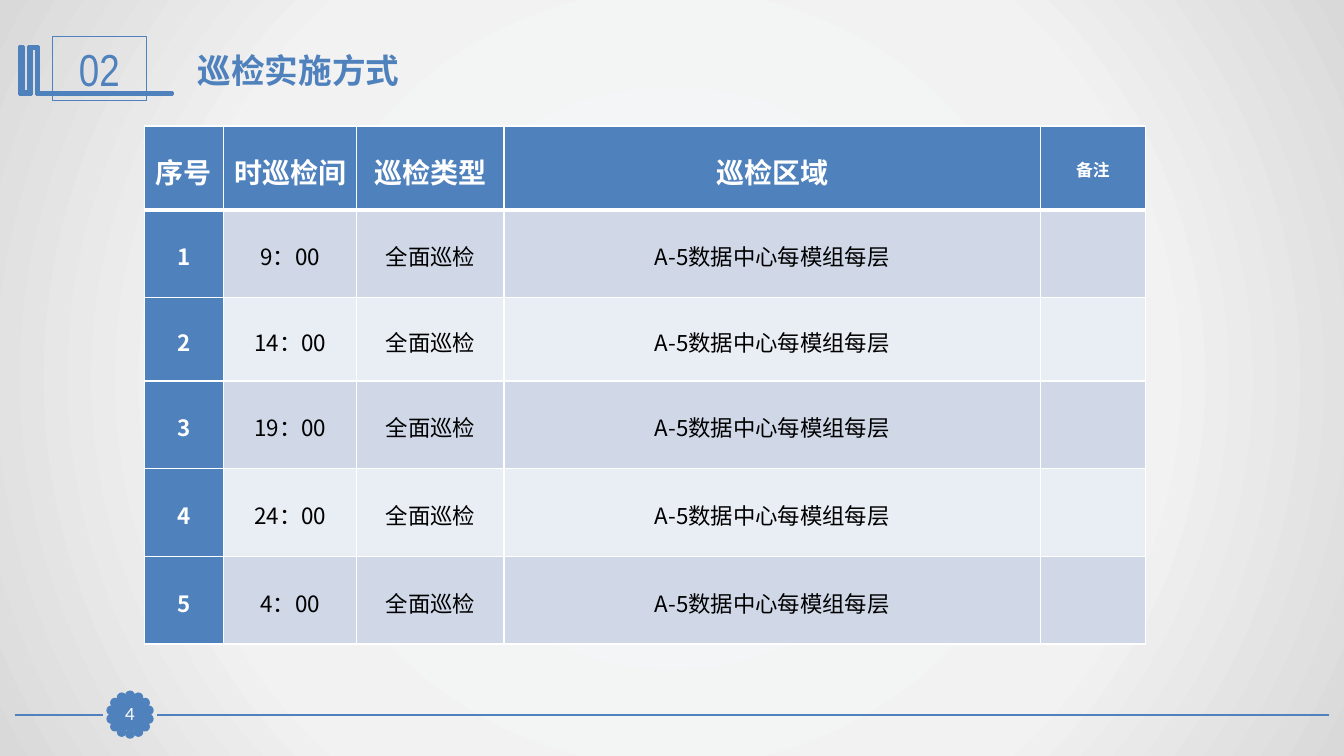
import math

import pptx
import pptx.dml.color
import pptx.enum.shapes
import pptx.enum.text
import pptx.oxml
import pptx.oxml.ns
import pptx.util
from pptx.util import Inches

BLUE = "4F81BD"
WHITE = "FFFFFF"
BANDS = ["D0D8E8", "E9EDF4"]
SHAPE = pptx.enum.shapes.MSO_SHAPE
MIDDLE = pptx.enum.text.MSO_ANCHOR.MIDDLE
CENTER = pptx.enum.text.PP_ALIGN.CENTER
NS = pptx.oxml.ns.nsdecls("a")


def color(code):
    return pptx.dml.color.RGBColor.from_string(code)


def paint(shape, fill, width):
    """Give a shape a plain fill, or none, and a blue outline."""
    shape.shadow.inherit = False
    if fill:
        shape.fill.solid()
        shape.fill.fore_color.rgb = color(fill)
    else:
        shape.fill.background()
    shape.line.color.rgb = color(BLUE)
    shape.line.width = pptx.util.Pt(width)


def write(frame, text, size, face, ink, bold=False, align=CENTER):
    frame.text = text
    par = frame.paragraphs[0]
    par.alignment = align
    par.font.size = pptx.util.Pt(size)
    par.font.name = face
    par.font.bold = bold
    par.font.color.rgb = color(ink)
    return par


def add_back(slide):
    """Radial gradient, light in the middle."""
    slide.background.fill.gradient()
    grad = next(slide.element.iter(pptx.oxml.ns.qn("a:gradFill")))
    for child in list(grad):
        grad.remove(child)
    stops = [(0, "F6F9FC"), (63, "F2F2F2"), (100, "D9D9D9")]
    marks = "".join(
        f'<a:gs pos="{pos * 1000}"><a:srgbClr val="{code}"/></a:gs>'
        for pos, code in stops)
    grad.append(pptx.oxml.parse_xml(f"<a:gsLst {NS}>{marks}</a:gsLst>"))
    grad.append(pptx.oxml.parse_xml(
        f'<a:path {NS} path="circle"><a:fillToRect l="50000" t="50000" '
        'r="50000" b="50000"/></a:path>'))


def add_head(slide, left, top):
    """Book mark, section number and title."""
    # Outline in hundredths of an inch
    points = [(18, 0), (19, 0), (19, 46), (152, 46), (152, 48), (17, 48),
              (17, 2), (12, 2), (12, 48), (0, 48), (0, 0), (4, 0),
              (4, 45), (9, 45), (9, 0)]
    pen = slide.shapes.build_freeform(*points[0], scale=Inches(0.01))
    pen.add_line_segments(points[1:], close=True)
    paint(pen.convert_to_shape(Inches(left), Inches(top + 0.1)), BLUE, 2)

    # Section number
    box = slide.shapes.add_shape(
        SHAPE.RECTANGLE, Inches(left + 0.33), Inches(top),
        Inches(0.93), Inches(0.64))
    paint(box, None, 0.75)
    box.text_frame.vertical_anchor = MIDDLE
    write(box.text_frame, "02", 32, "Arial Narrow", BLUE)

    # Title
    title = slide.shapes.title
    title.left, title.top = Inches(left + 1.67), Inches(top + 0.08)
    title.width, title.height = Inches(9.69), Inches(0.5)
    title.text_frame.vertical_anchor = MIDDLE
    write(title.text_frame, "巡检实施方式", 24, "Lato", BLUE, True,
          pptx.enum.text.PP_ALIGN.LEFT)


def edge(cell, sides):
    """White cell borders; sides maps each tag to its width in points."""
    props = cell._tc.get_or_add_tcPr()
    for spot, (tag, width) in enumerate(sides.items()):
        props.insert(spot, pptx.oxml.parse_xml(
            f'<a:{tag} {NS} w="{pptx.util.Pt(width)}"><a:solidFill>'
            f'<a:srgbClr val="{WHITE}"/></a:solidFill></a:{tag}>'))


def add_plan(slide, left, top):
    """Table of inspection rounds."""
    heads = ["序号", "时巡检间", "巡检类型", "巡检区域", "备注"]
    times = ["9：00", "14：00", "19：00", "24：00", "4：00"]
    rows = [heads] + [
        [str(num), time, "全面巡检", "A-5数据中心每模组每层", ""]
        for num, time in enumerate(times, 1)]
    widths = [0.79, 1.32, 1.46, 5.32, 1.04]
    heights = [0.83, 0.87, 0.83, 0.87, 0.87, 0.87]
    table = slide.shapes.add_table(
        len(rows), len(widths), Inches(left), Inches(top),
        Inches(sum(widths)), Inches(sum(heights))).table
    for col, width in zip(table.columns, widths):
        col.width = Inches(width)
    for row, height in zip(table.rows, heights):
        row.height = Inches(height)

    for r, row in enumerate(rows):
        for c, text in enumerate(row):
            cell = table.cell(r, c)
            strong = r == 0 or c == 0
            cell.fill.solid()
            cell.fill.fore_color.rgb = color(
                BLUE if strong else BANDS[(r - 1) % 2])
            edge(cell, {"lnL": 1, "lnR": 1, "lnT": 3 if r == 1 else 1,
                        "lnB": 3 if r == 0 else 1})
            cell.vertical_anchor = MIDDLE
            cell.margin_left = cell.margin_right = Inches(0.07)
            cell.margin_top = cell.margin_bottom = 0
            if text:
                size = 16 if r else 12 if text == "备注" else 20
                par = write(cell.text_frame, text, size, "Noto Sans CJK SC",
                            WHITE if strong else "000000", strong)
                par.line_spacing = 1.15


def add_foot(slide, mid, level):
    """Rule with a scalloped page badge centred at mid, level."""
    for start, end in [(0.15, 1.02), (1.56, 13.18)]:
        rule = slide.shapes.add_connector(
            pptx.enum.shapes.MSO_CONNECTOR.STRAIGHT,
            Inches(start), Inches(level), Inches(end), Inches(level))
        rule.line.color.rgb = color(BLUE)
        rule.line.width = pptx.util.Pt(1.25)
        rule._element.spPr.append(
            pptx.oxml.parse_xml(f"<a:effectLst {NS}/>"))

    # Ring of dots
    count, radius, size = 14, 0.19, 0.07
    for i in range(count):
        turn = 2 * math.pi * i / count
        dot = slide.shapes.add_shape(
            SHAPE.OVAL,
            Inches(mid + radius * math.sin(turn) - size / 2),
            Inches(level - radius * math.cos(turn) - size / 2),
            Inches(size), Inches(size))
        paint(dot, BLUE, 2)

    # Page number
    page = slide.shapes.add_shape(
        SHAPE.RECTANGLE, Inches(mid - 0.16), Inches(level - 0.16),
        Inches(0.32), Inches(0.31))
    paint(page, BLUE, 0.75)
    frame = page.text_frame
    frame.margin_left = frame.margin_right = 0
    frame.margin_top = frame.margin_bottom = 0
    frame.vertical_anchor = MIDDLE
    write(frame, "4", 12, "Lato", WHITE)


def main():
    deck = pptx.Presentation()
    deck.slide_width, deck.slide_height = Inches(13.33), Inches(7.5)
    slide = deck.slides.add_slide(deck.slide_layouts.get_by_name("Title Only"))
    add_back(slide)
    add_foot(slide, 1.29, 7.09)
    add_head(slide, 0.19, 0.36)
    add_plan(slide, 1.43, 1.25)
    deck.save("out.pptx")


if __name__ == "__main__":
    main()
